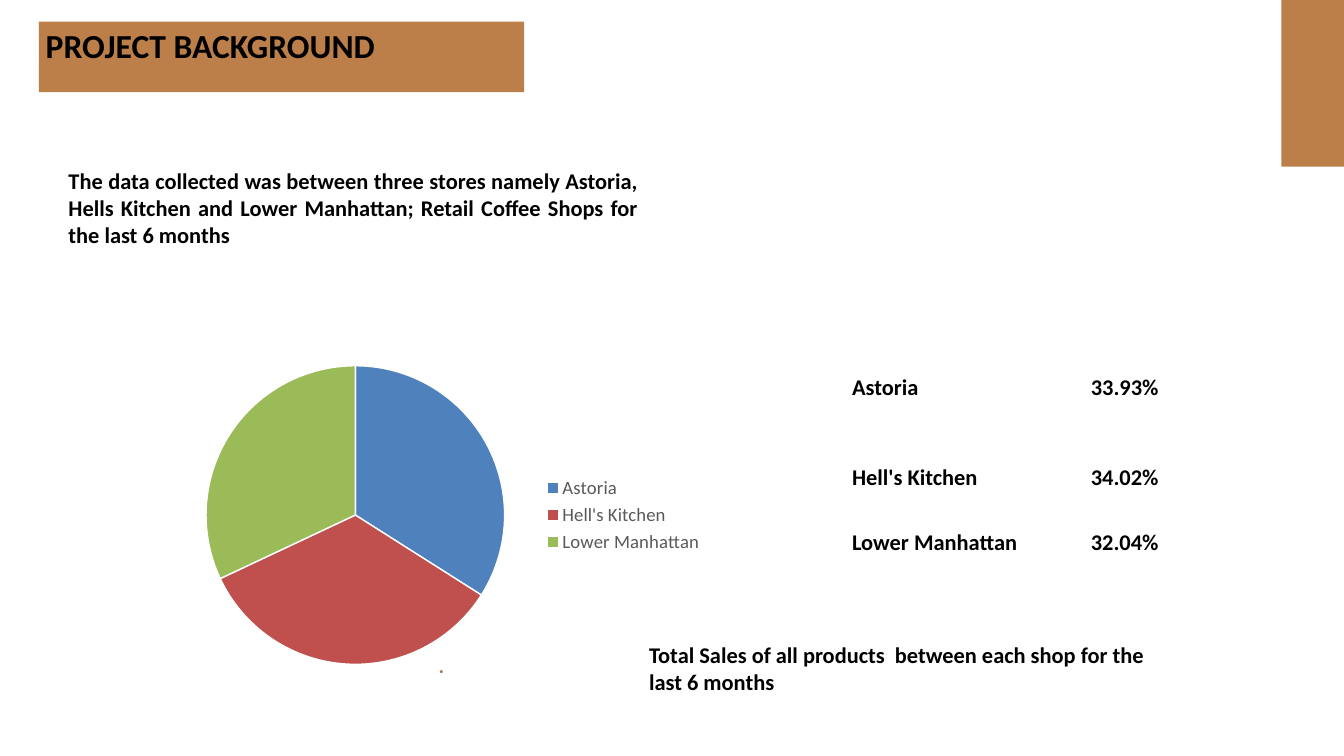
from pptx import Presentation
from pptx.chart.data import CategoryChartData as Data
from pptx.dml.color import RGBColor
from pptx.enum.chart import XL_CHART_TYPE as Kind, XL_LEGEND_POSITION as Side
from pptx.enum.shapes import MSO_SHAPE as Shape
from pptx.enum.text import MSO_ANCHOR as Anchor, MSO_AUTO_SIZE as Fit, PP_ALIGN as Align
from pptx.oxml import parse_xml
from pptx.oxml.ns import nsdecls
from pptx.util import Inches, Pt

BROWN = RGBColor(0xBD, 0x7F, 0x4A)
RUST = RGBColor(0xAC, 0x75, 0x5B)
BLACK = RGBColor(0, 0, 0)
WHITE = RGBColor(255, 255, 255)
GRAY = RGBColor(0x59, 0x59, 0x59)
BLUE = RGBColor(0x4F, 0x81, 0xBD)
RED = RGBColor(0xC0, 0x50, 0x4D)
GREEN = RGBColor(0x9B, 0xBB, 0x59)

SHOPS = [
    ("Astoria", "33.93%", 34, BLUE),
    ("Hell's Kitchen", "34.02%", 34, RED),
    ("Lower Manhattan", "32.04%", 32, GREEN),
]


def box(*sizes):
    return [Inches(size) for size in sizes]


def style(para, size=24, color=BLACK, face="Calibri", align=Align.LEFT):
    para.alignment = align
    font = para.font
    font.name, font.size, font.bold = face, Pt(size), True
    font.color.rgb = color


def add_title(slide, text, place):
    title = slide.shapes.title
    title.left, title.top, title.width, title.height = box(*place)
    title.fill.solid()
    title.fill.fore_color.rgb = BROWN
    frame = title.text_frame
    frame.text = text
    frame.auto_size = Fit.NONE
    frame.vertical_anchor = Anchor.TOP
    style(frame.paragraphs[0], 36)


def add_block(slide, place):
    block = slide.shapes.add_shape(Shape.RECTANGLE, *box(*place))
    block.shadow.inherit = False
    block.fill.solid()
    block.fill.fore_color.rgb = BROWN
    block.line.fill.background()


def add_text(slide, text, place, **look):
    frame = slide.shapes.add_textbox(*box(*place)).text_frame
    frame.word_wrap = True
    frame.text = text
    style(frame.paragraphs[0], **look)
    return frame


def add_dot(slide):
    frame = add_text(slide, ".", (6.54, 9.74, 5.62, 0.3),
                     size=16.8, color=RUST, face="Montserrat")
    frame.margin_left = frame.margin_right = 0
    frame.margin_top = frame.margin_bottom = 0
    frame.paragraphs[0].line_spacing = Pt(23.6)


def set_plot(chart, x, y, w, h):
    area = chart._chartSpace.chart.plotArea
    for old in area.xpath("c:layout"):
        area.remove(old)
    area.insert(0, parse_xml(
        f'<c:layout {nsdecls("c")}><c:manualLayout>'
        '<c:layoutTarget val="inner"/>'
        '<c:xMode val="edge"/><c:yMode val="edge"/>'
        f'<c:x val="{x}"/><c:y val="{y}"/><c:w val="{w}"/><c:h val="{h}"/>'
        '</c:manualLayout></c:layout>'))


def add_pie(slide, place):
    data = Data()
    data.categories = [shop[0] for shop in SHOPS]
    data.add_series("Series 1", [shop[2] for shop in SHOPS])
    chart = slide.shapes.add_chart(Kind.PIE, *box(*place), data).chart
    chart.has_title = False
    chart.font.name, chart.font.size = "Calibri", Pt(10)
    chart.has_legend = True
    legend = chart.legend
    legend.position = Side.RIGHT
    legend.include_in_layout = False
    legend.font.name, legend.font.size = "Calibri", Pt(20)
    legend.font.color.rgb = GRAY
    plot = chart.plots[0]
    plot.vary_by_categories = True
    for i, shop in enumerate(SHOPS):
        form = plot.series[0].points[i].format
        form.fill.solid()
        form.fill.fore_color.rgb = shop[3]
        form.line.color.rgb = WHITE
        form.line.width = Pt(1.5)
    set_plot(chart, 0.07, 0.03, 0.55, 0.94)


def add_shares(slide, place, cols, rows):
    table = slide.shapes.add_table(len(rows), len(cols), *box(*place)).table
    table.first_row = table.horz_banding = False
    for col, width in zip(table.columns, cols):
        col.width = Inches(width)
    for row, height, shop in zip(table.rows, rows, SHOPS):
        row.height = Inches(height)
        for cell, text, align in zip(row.cells, shop, (Align.LEFT, Align.RIGHT)):
            cell.fill.background()
            cell.vertical_anchor = Anchor.BOTTOM
            cell.margin_left = cell.margin_right = cell.margin_top = Inches(0.01)
            cell.margin_bottom = 0
            cell.text = text
            style(cell.text_frame.paragraphs[0], align=align)


def main():
    deck = Presentation()
    deck.slide_width, deck.slide_height = box(20, 11.25)
    slide = deck.slides.add_slide(deck.slide_layouts[5])
    add_title(slide, "PROJECT BACKGROUND", (0.58, 0.32, 7.22, 1.05))
    add_block(slide, (19.07, 0, 0.93, 2.48))
    add_dot(slide)
    add_text(slide, "The data collected was between three stores namely Astoria, "
             "Hells Kitchen and Lower Manhattan; Retail Coffee Shops for "
             "the last 6 months", (0.92, 2.44, 8.67, 1.31), align=Align.JUSTIFY)
    add_pie(slide, (2.5, 5.29, 8.08, 4.75))
    add_shares(slide, (12.67, 4.62, 4.58, 3.67), (3.15, 1.43), (1.35, 1.35, 0.96))
    add_text(slide, "Total Sales of all products  between each shop for the "
             "last 6 months", (9.56, 9.49, 7.92, 0.91))
    deck.save("out.pptx")


if __name__ == "__main__":
    main()
